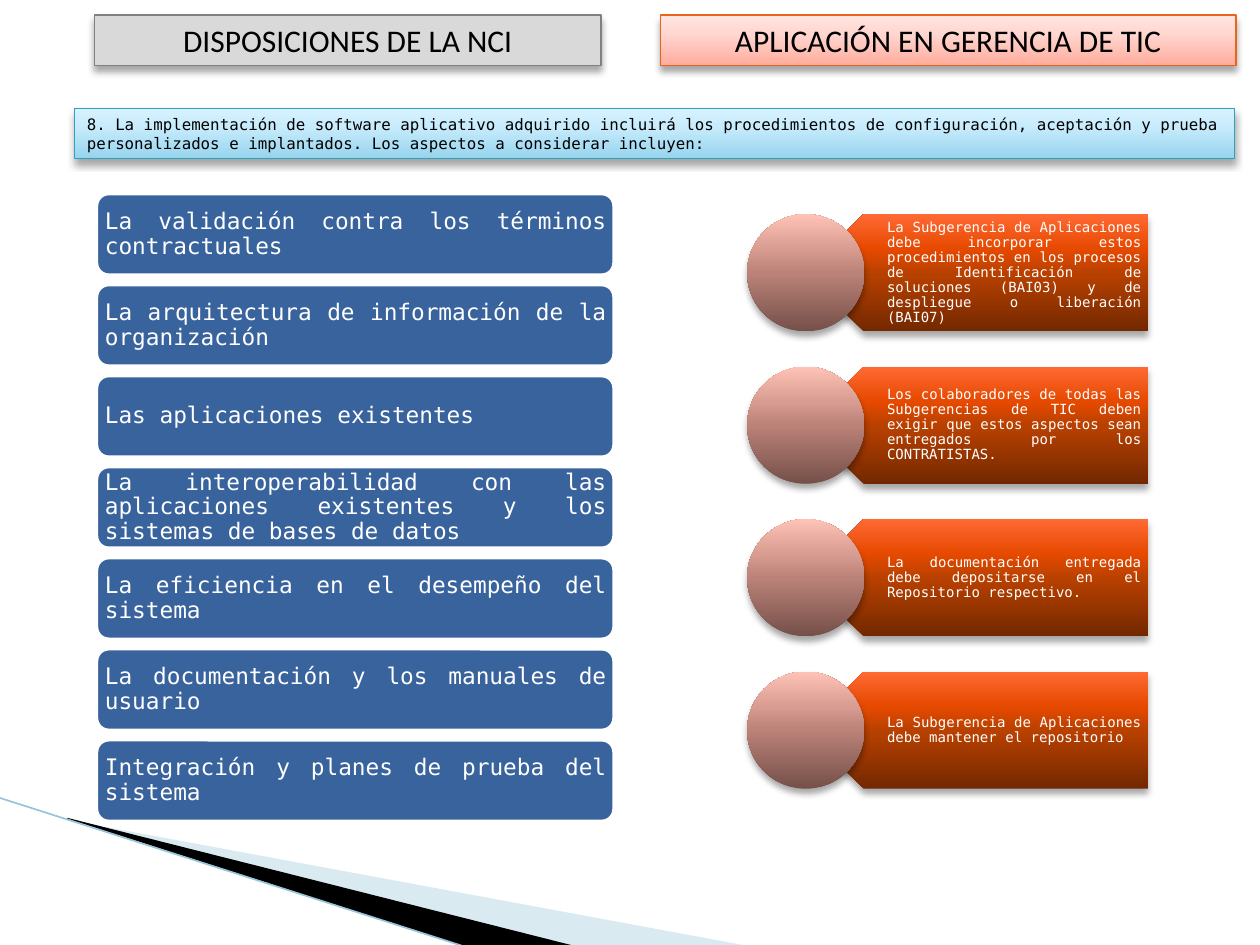
from lxml.etree import SubElement
from pptx import Presentation
from pptx.dml.color import RGBColor
from pptx.enum.shapes import MSO_CONNECTOR as Connector, MSO_SHAPE as Shape
from pptx.enum.text import MSO_ANCHOR as Anchor, PP_ALIGN as Align
from pptx.oxml.ns import qn
from pptx.util import Inches, Pt

MONO = "DejaVu Sans Mono"
BLUE = [(0, "96D4EE"), (65, "C9ECFC"), (100, "D7F2FF")]
PINK = [(0, "FFAC9C"), (65, "FFD8D2"), (100, "FFE4DF")]
ORANGE = [(0, "732800"), (50, "B94100"), (70, "E64900"), (100, "FF6933")]
ROSE = [(0, "755049"), (50, "BB8278"), (70, "D89C91"), (100, "FFC2B7")]

ASPECTS = [
    "La validación contra los términos contractuales",
    "La arquitectura de información de la organización",
    "Las aplicaciones existentes",
    "La interoperabilidad con las aplicaciones existentes y los sistemas de bases de datos",
    "La eficiencia en el desempeño del sistema",
    "La documentación y los manuales de usuario",
    "Integración y planes de prueba del sistema",
]
ACTIONS = [
    "La Subgerencia de Aplicaciones debe incorporar estos procedimientos en los procesos "
    "de Identificación de soluciones (BAI03) y de despliegue o liberación (BAI07)",
    "Los colaboradores de todas las Subgerencias de TIC deben exigir que estos aspectos "
    "sean entregados por los CONTRATISTAS.",
    "La documentación entregada debe depositarse en el Repositorio respectivo.",
    "La Subgerencia de Aplicaciones debe mantener el repositorio",
]
INTRO = ("8. La implementación de software aplicativo adquirido incluirá los procedimientos "
         "de configuración, aceptación y prueba personalizados e implantados. "
         "Los aspectos a considerar incluyen:")


def color(value):
    """Turn a hex string into a colour."""
    return RGBColor.from_string(value)


def set_fill(shape, fill):
    """Fill with one colour, or with stops that run from bottom to top."""
    if isinstance(fill, str):
        shape.fill.solid()
        shape.fill.fore_color.rgb = color(fill)
        return
    shape.fill.gradient()
    shape.fill.gradient_angle = 90
    gradient = shape._element.spPr.find(qn("a:gradFill"))
    gradient.set("rotWithShape", "0")
    stops = gradient.find(qn("a:gsLst"))
    for stop in list(stops):
        stops.remove(stop)
    for position, value in fill:
        stop = SubElement(stops, qn("a:gs"), pos=str(position * 1000))
        SubElement(stop, qn("a:srgbClr"), val=value)


def set_line(shape, value=None, width=0.75):
    """Outline a shape, or leave it without a line."""
    if value is None:
        shape.line.fill.background()
    else:
        shape.line.color.rgb = color(value)
        shape.line.width = Pt(width)


def add_shadow(shape):
    """Give a shape a soft shadow below it."""
    effects = shape._element.spPr.find(qn("a:effectLst"))
    shadow = SubElement(effects, qn("a:outerShdw"), blurRad=str(Pt(4)), dist=str(Pt(3)),
                        dir="5400000", algn="ctr", rotWithShape="0")
    black = SubElement(shadow, qn("a:srgbClr"), val="000000")
    SubElement(black, qn("a:alpha"), val="35000")


def add_shape(page, kind, at, fill, line=None, width=0.75, shadow=True):
    """Add a preset shape with its fill, line and shadow."""
    shape = page.shapes.add_shape(kind, *map(Inches, at))
    shape.shadow.inherit = False
    set_fill(shape, fill)
    set_line(shape, line, width)
    if shadow:
        add_shadow(shape)
    return shape


def write(shape, text, size, font=MONO, ink="FFFFFF", align=Align.LEFT,
          insets=(0.1, 0.05, 0.1, 0.05), anchor=Anchor.TOP):
    """Write one paragraph into a shape; justified text is set tighter."""
    frame = shape.text_frame
    frame.word_wrap = True
    frame.vertical_anchor = anchor
    (frame.margin_left, frame.margin_top,
     frame.margin_right, frame.margin_bottom) = map(Inches, insets)
    frame.text = text
    para = frame.paragraphs[0]
    para.alignment = align
    if align == Align.JUSTIFY:
        para.line_spacing = 0.9
        para.space_after = Pt(round(size * 0.35, 1))
    span = para.runs[0]
    span.font.size = Pt(size)
    span.font.name = font
    span.font.color.rgb = color(ink)


def add_wedge(page, points, fill, opacity=100):
    """Add a filled corner wedge."""
    corners = [(Inches(x), Inches(y)) for x, y in points]
    builder = page.shapes.build_freeform(*corners[0])
    builder.add_line_segments(corners[1:], close=True)
    wedge = builder.convert_to_shape()
    wedge.shadow.inherit = False
    set_fill(wedge, fill)
    set_line(wedge)
    tint = wedge._element.spPr.find(qn("a:solidFill"))[0]
    SubElement(tint, qn("a:alpha"), val=str(opacity * 1000))


def add_corner(page):
    """Draw the decoration at the bottom left."""
    add_wedge(page, [(0.55, 6.51), (5.95, 7.51), (4.56, 7.51), (0.55, 6.5)], "A0CBDC", 40)
    add_wedge(page, [(0.53, 6.49), (4.57, 7.51), (3.72, 7.52), (0.54, 6.5)], "000000")
    edge = page.shapes.add_connector(
        Connector.STRAIGHT, *map(Inches, (-0.01, 6.33, 3.71, 7.52)))
    set_line(edge, "97C5D8", 0.95)
    SubElement(edge._element.spPr, qn("a:effectLst"))


def add_header(page, left, width, text, fill, line):
    """Add a column heading."""
    header = add_shape(page, Shape.RECTANGLE, (left, 0.12, width, 0.4), fill, line)
    write(header, text, 18, "Calibri", "000000", Align.CENTER)


def add_aspect(page, top, text):
    """Add a rounded bar of the left column."""
    bar = add_shape(page, Shape.ROUNDED_RECTANGLE, (0.75, top, 4.14, 0.68),
                    "39639D", "FFFFFF", 4.33, shadow=False)
    write(bar, text, 13, align=Align.JUSTIFY, insets=(0.05,) * 4, anchor=Anchor.MIDDLE)


def add_action(page, top, text):
    """Add an arrow with its text and disc in the right column."""
    size = 0.93
    arrow = add_shape(page, Shape.PENTAGON, (6.39, top, 2.72, size), ORANGE)
    arrow.rotation = 180
    box = page.shapes.add_textbox(*map(Inches, (6.63, top, 2.49, size)))
    write(box, text, 8, align=Align.JUSTIFY, insets=(0.41, 0.03, 0.06, 0.03),
          anchor=Anchor.MIDDLE)
    add_shape(page, Shape.OVAL, (5.93, top, size, size), ROSE)


def main():
    """Build the slide and save it."""
    deck = Presentation()
    deck.slide_width, deck.slide_height = Inches(10), Inches(7.5)
    page = deck.slides.add_slide(deck.slide_layouts[6])
    add_corner(page)
    intro = add_shape(page, Shape.RECTANGLE, (0.59, 0.86, 9.21, 0.4), BLUE, "2DA2BF")
    write(intro, INTRO, 9, ink="000000")
    for row, text in enumerate(ASPECTS):
        add_aspect(page, 1.52 + row * 0.7225, text)
    add_header(page, 0.75, 4.02, "DISPOSICIONES DE LA NCI", "D9D9D9", "808080")
    add_header(page, 5.24, 4.57, "APLICACIÓN EN GERENCIA DE TIC", PINK, "EB641B")
    for row, text in enumerate(ACTIONS):
        add_action(page, 1.7 + row * 1.21, text)
    deck.save("out.pptx")


main()
